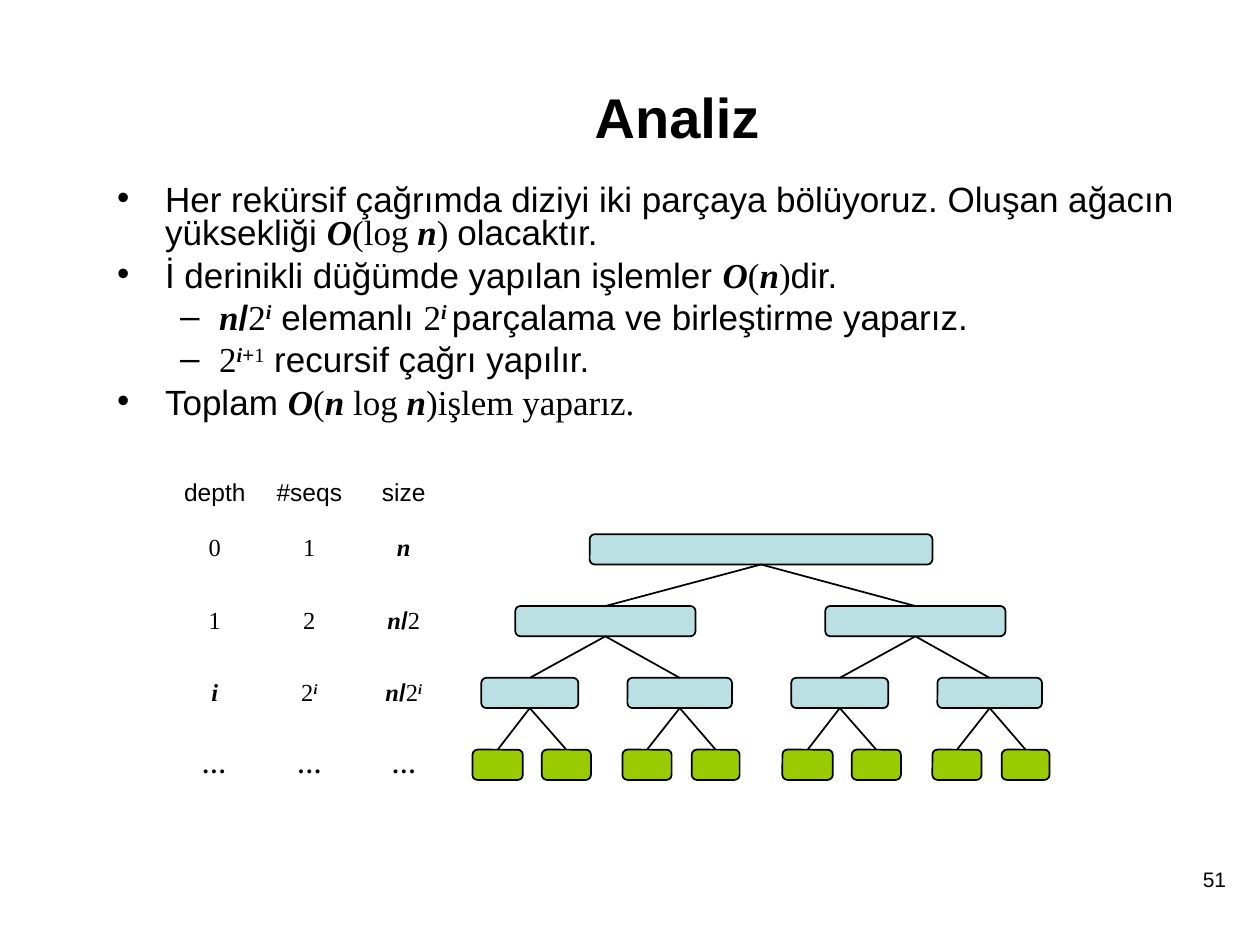
"""Build the analysis slide: bullets, a recursion table and a recursion tree."""
from lxml.etree import SubElement
from pptx import Presentation
from pptx.dml.color import RGBColor
from pptx.enum.shapes import MSO_CONNECTOR, MSO_SHAPE
from pptx.enum.text import MSO_ANCHOR, MSO_AUTO_SIZE, PP_ALIGN
from pptx.oxml.ns import qn
from pptx.util import Inches, Pt

THEME = {
    "ink": RGBColor(0, 0, 0),
    "node": RGBColor(0xBB, 0xE0, 0xE3),
    "leaf": RGBColor(0x99, 0xCC, 0x00),
    "title": 32, "body": 20, "cell": 14, "page": 12,
}
SANS, SERIF = "Arial", "Times New Roman"
STYLES = {
    "sans": (SANS, False, False, 0),
    "slash": (SANS, True, False, 0),
    "math": (SERIF, False, False, 0),
    "dots": (SERIF, True, False, 0),
    "var": (SERIF, True, True, 0),
    "supvar": (SERIF, True, True, 30),
    "supsans": (SANS, False, False, 30),
    "supmath": (SERIF, False, False, 30),
}
N, I, TWO = ("n", "var"), ("i", "supvar"), ("2", "math")
O, SLASH, OPEN = ("O", "var"), ("/", "slash"), ("(", "math")
DOTS = ("…", "dots")

BULLETS = [
    (0, [("Her rekürsif çağrımda diziyi iki parçaya bölüyoruz. "
          "Oluşan ağacın yüksekliği ", "sans"), O, ("(log ", "math"), N,
         (") ", "math"), ("olacaktır.", "sans")]),
    (0, [("İ derinikli düğümde yapılan işlemler ", "sans"), O, OPEN, N,
         (")", "math"), ("dir.", "sans")]),
    (1, [N, SLASH, TWO, I, (" elemanlı ", "sans"), TWO, ("i ", "supvar"),
         ("parçalama ve birleştirme yaparız.", "sans")]),
    (1, [TWO, I, ("+", "supsans"), ("1", "supmath"),
         (" recursif çağrı yapılır.", "sans")]),
    (0, [("Toplam ", "sans"), O, OPEN, N, (" log ", "math"), N,
         (")işlem yaparız.", "math")]),
]
MARKS = [("•", 0.38, -0.38), ("–", 0.81, -0.31)]
ROWS = [
    [[("depth", "sans")], [("#seqs", "sans")], [("size", "sans")]],
    [[("0", "math")], [("1", "math")], [N]],
    [[("1", "math")], [TWO], [N, SLASH, TWO]],
    [[("i", "var")], [TWO, I], [N, SLASH, TWO, I]],
    [[("…", "var")], [DOTS], [DOTS]],
]
HEIGHTS = [0.31, 0.57, 0.58, 0.57, 0.57]
PLAIN = "{2D5ABB26-0587-4C30-8999-92F81FD0307C}"

ROOT = (4.68, 2.72)
HALF = [
    [(4.09, 1.43)],
    [(3.82, 0.77), (4.98, 0.83)],
    [(3.75, 0.4), (4.3, 0.39), (4.94, 0.39), (5.49, 0.38)],
]
SHIFT, TOP, STEP, TALL = 2.46, 4.24, 0.57, 0.24


def place(shape, x, y, w, h):
    shape.left, shape.top = Inches(x), Inches(y)
    shape.width, shape.height = Inches(w), Inches(h)


def write(para, runs, size):
    """Fill a paragraph with styled runs, sharing what they have in common."""
    para.font.size, para.font.color.rgb = Pt(size), THEME["ink"]
    shared = len({style for _, style in runs}) == 1
    for text, style in runs:
        run = para.add_run()
        run.text = text
        font = para.font if shared else run.font
        face, bold, slant, lift = STYLES[style]
        font.name, font.bold, font.italic = face, bold, slant
        if lift:
            run._r.get_or_add_rPr().set("baseline", str(lift * 1000))


def mark(para, level):
    sign, left, hang = MARKS[level]
    para.level = level
    props = para._p.get_or_add_pPr()
    props.set("marL", str(Inches(left)))
    props.set("indent", str(Inches(hang)))
    tint = SubElement(props, qn("a:buClr"))
    SubElement(tint, qn("a:srgbClr"), val=str(THEME["ink"]))
    SubElement(props, qn("a:buFont"), typeface=SANS)
    SubElement(props, qn("a:buChar"), char=sign)


def add_text(slide):
    title, body = slide.placeholders[0], slide.placeholders[1]
    place(title, 1.25, 0.3, 8.25, 1.25)
    place(body, 0.83, 1.42, 8.67, 2.42)
    page = slide.shapes.add_textbox(0, 0, 0, 0)
    place(page, 8.58, 6.83, 1.25, 0.52)
    for shape in (title, body, page):
        shape.text_frame.word_wrap = True
        shape.text_frame.auto_size = MSO_AUTO_SIZE.NONE
    title.text_frame.vertical_anchor = MSO_ANCHOR.MIDDLE
    body.text_frame.vertical_anchor = MSO_ANCHOR.TOP
    for shape, text, style, size, align in (
            (title, "Analiz", "slash", "title", PP_ALIGN.CENTER),
            (page, "51", "sans", "page", PP_ALIGN.RIGHT)):
        para = shape.text_frame.paragraphs[0]
        para.alignment = align
        write(para, [(text, style)], THEME[size])
    frame = body.text_frame
    for k, (level, runs) in enumerate(BULLETS):
        para = frame.add_paragraph() if k else frame.paragraphs[0]
        mark(para, level)
        para.line_spacing, para.space_before = 0.8, Pt(5 if k else 0)
        write(para, runs, THEME["body"])


def add_grid(slide):
    grid = slide.shapes.add_table(
        len(ROWS), len(ROWS[0]), Inches(1.33), Inches(3.75),
        Inches(2.25), Inches(sum(HEIGHTS))).table
    grid.first_row = grid.horz_banding = False
    grid._tbl.tblPr.find(qn("a:tableStyleId")).text = PLAIN
    for r, (row, high) in enumerate(zip(ROWS, HEIGHTS)):
        grid.rows[r].height = Inches(high)
        for c, runs in enumerate(row):
            cell = grid.cell(r, c)
            cell.fill.background()
            cell.vertical_anchor = MSO_ANCHOR.MIDDLE if r else MSO_ANCHOR.TOP
            para = cell.text_frame.paragraphs[0]
            para.alignment = PP_ALIGN.CENTER
            write(para, runs, THEME["cell"])


def add_node(slide, x, y, w, fill):
    node = slide.shapes.add_shape(
        MSO_SHAPE.ROUNDED_RECTANGLE, Inches(x), Inches(y), Inches(w), Inches(TALL))
    node.shadow.inherit = False
    node.fill.solid()
    node.fill.fore_color.rgb = fill
    node.line.color.rgb, node.line.width = THEME["ink"], Pt(1)
    return node


def join(slide, parent, child):
    edge = slide.shapes.add_connector(MSO_CONNECTOR.STRAIGHT, 0, 0, 0, 0)
    edge.begin_connect(parent, 2)
    edge.end_connect(child, 0)
    edge.line.color.rgb, edge.line.width = THEME["ink"], Pt(1)
    SubElement(edge._element.spPr, qn("a:effectLst"))


def add_tree(slide):
    levels = [[ROOT]] + [
        half + [(x + SHIFT, w) for x, w in half] for half in HALF]
    above = []
    for depth, level in enumerate(levels):
        fill = THEME["leaf" if depth == len(HALF) else "node"]
        nodes = [add_node(slide, x, TOP + depth * STEP, w, fill)
                 for x, w in level]
        if above:
            for k, node in enumerate(nodes):
                join(slide, above[k // 2], node)
        above = nodes


def main():
    deck = Presentation()
    deck.slide_width, deck.slide_height = Inches(10), Inches(7.5)
    slide = deck.slides.add_slide(deck.slide_layouts[1])
    add_text(slide)
    add_tree(slide)
    add_grid(slide)
    deck.save("out.pptx")


if __name__ == "__main__":
    main()
